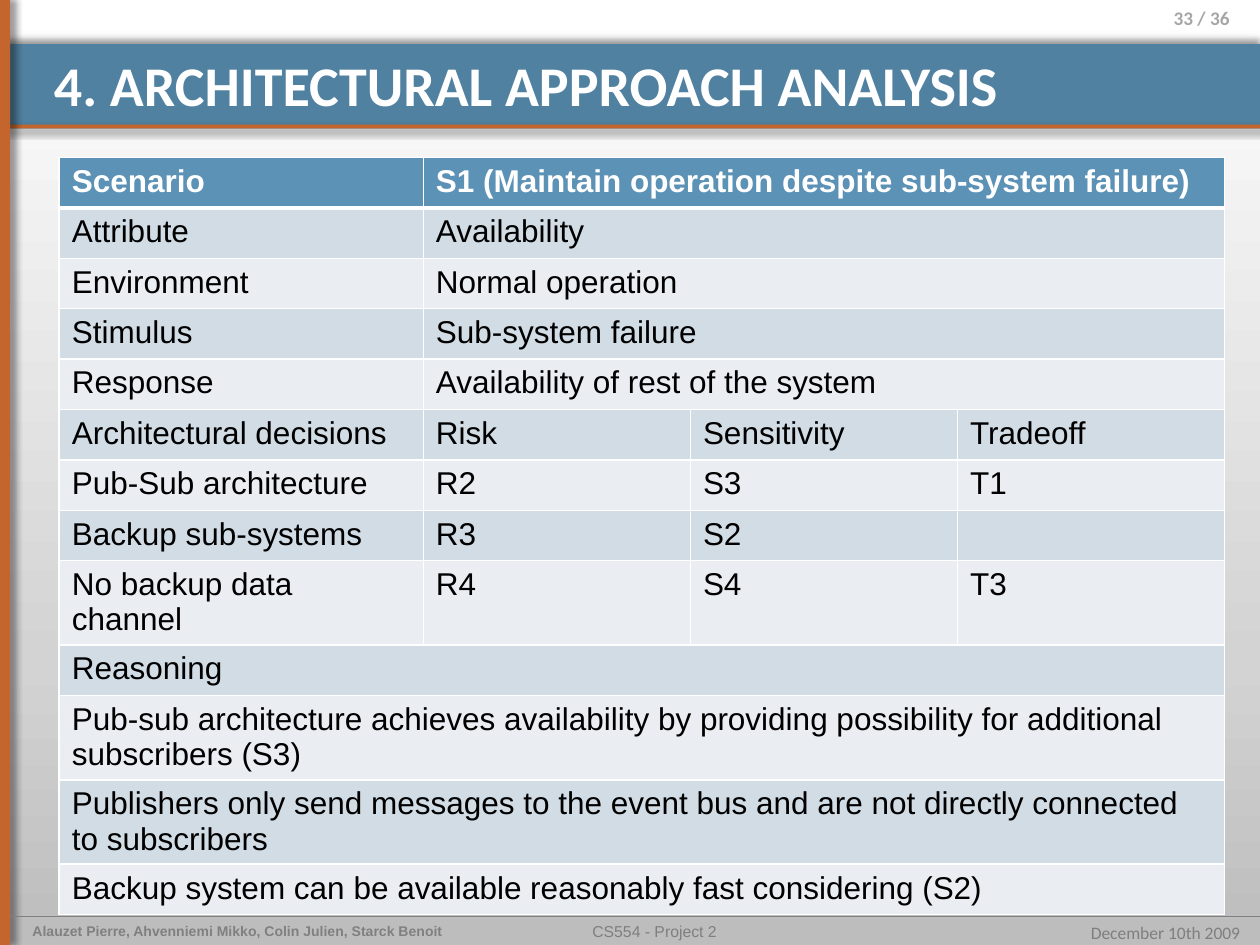
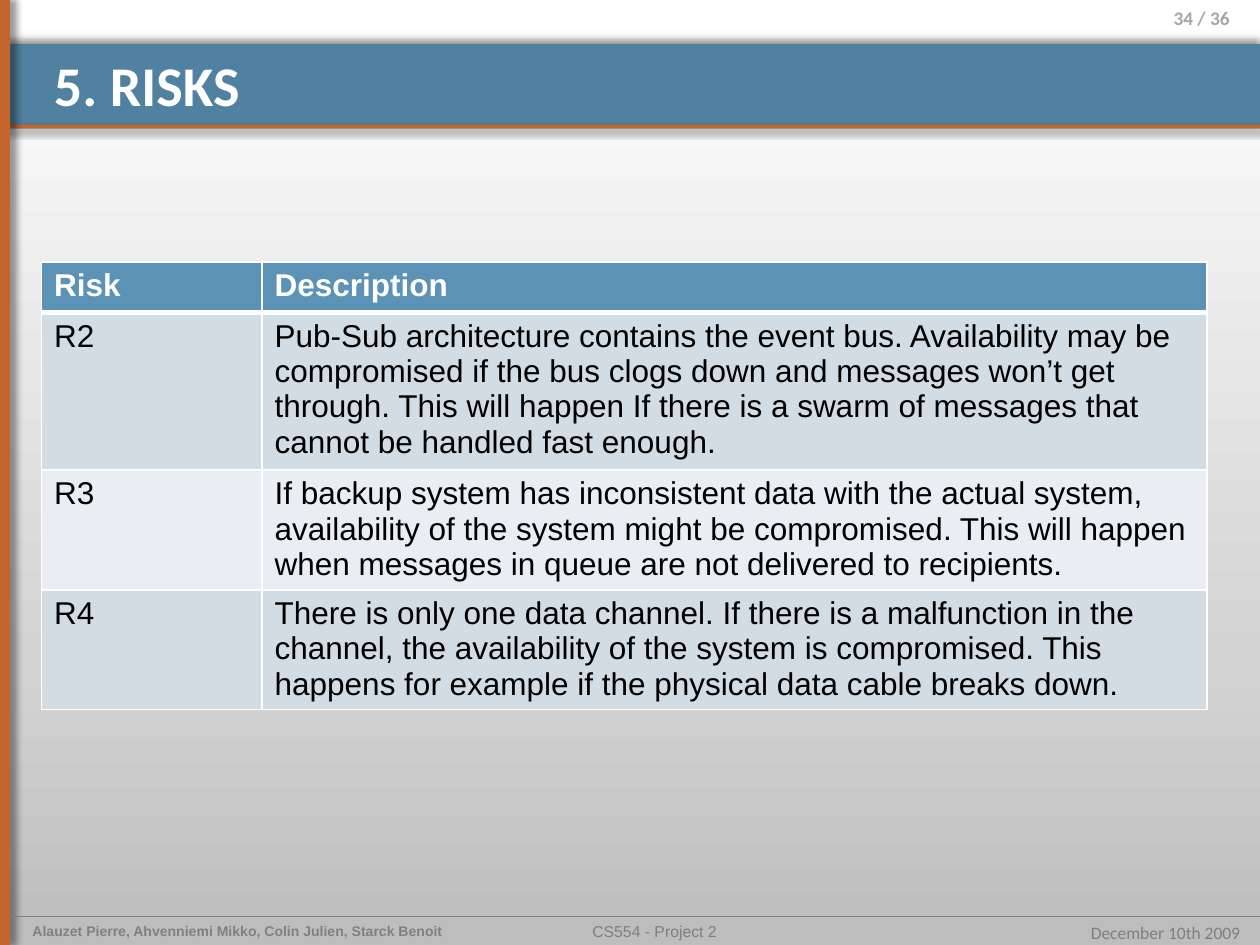
import copy

import lxml.etree
import pptx
import pptx.dml.color
import pptx.enum.shapes
import pptx.enum.text
import pptx.oxml.ns
import pptx.util

Inches = pptx.util.Inches
Pt = pptx.util.Pt
Color = pptx.dml.color.RGBColor
Align = pptx.enum.text.PP_ALIGN
Shape = pptx.enum.shapes.MSO_SHAPE
qn = pptx.oxml.ns.qn

BLUE = Color(0x51, 0x81, 0xA0)
RUST = Color(0xC4, 0x65, 0x2D)
HEAD = Color(0x5C, 0x92, 0xB5)
DARK = Color(0xD2, 0xDC, 0xE5)
LIGHT = Color(0xEA, 0xEE, 0xF3)
WHITE = Color(0xFF, 0xFF, 0xFF)
BLACK = Color(0x00, 0x00, 0x00)
GRAY = Color(0x7F, 0x7F, 0x7F)
MID = Color(0x80, 0x80, 0x80)
PALE = Color(0xA6, 0xA6, 0xA6)
FADE = [(0, Color(0xBD, 0xBD, 0xBD)), (0.3, Color(0xD3, 0xD3, 0xD3)), (1, WHITE)]

PAGE = (0, 0, 10, 7.5)
ROW = 0.4  # height of a row with one line of text
STEP = 0.27  # height of each further line
TOTAL = 36

# Each table row: number of text lines, then its cells
CASE = [
    (1, ["Scenario", "S1 (Maintain operation despite sub-system failure)"]),
    (1, ["Attribute", "Availability"]),
    (1, ["Environment", "Normal operation"]),
    (1, ["Stimulus", "Sub-system failure"]),
    (1, ["Response", "Availability of rest of the system"]),
    (1, ["Architectural decisions", "Risk", "Sensitivity", "Tradeoff"]),
    (1, ["Pub-Sub architecture", "R2", "S3", "T1"]),
    (1, ["Backup sub-systems", "R3", "S2", ""]),
    (2, ["No backup data channel", "R4", "S4", "T3"]),
    (1, ["Reasoning"]),
    (2, ["Pub-sub architecture achieves availability by providing possibility "
         "for additional subscribers (S3)"]),
    (2, ["Publishers only send messages to the event bus and are not directly "
         "connected to subscribers"]),
    (1, ["Backup system can be available reasonably fast considering (S2)"]),
]
RISKS = [
    (1, ["Risk", "Description"]),
    (4, ["R2", "Pub-Sub architecture contains the event bus. Availability may be "
               "compromised if the bus clogs down and messages won’t get through. "
               "This will happen If there is a swarm of messages that cannot be "
               "handled fast enough."]),
    (3, ["R3", "If backup system has inconsistent data with the actual system, "
               "availability of the system might be compromised. This will happen "
               "when messages in queue are not delivered to recipients."]),
    (3, ["R4", "There is only one data channel. If there is a malfunction in the "
               "channel, the availability of the system is compromised. This "
               "happens for example if the physical data cable breaks down."]),
]


def add_run(para, text, size, color, bold=False, font="Arial"):
    run = para.add_run()
    run.text = text
    run.font.name = font
    run.font.size = Pt(size)
    run.font.bold = bold
    run.font.color.rgb = color


def add_text(slide, box, text, size, color, bold=False, font="Arial",
             align=Align.LEFT, wrap=True):
    shape = slide.shapes.add_textbox(*map(Inches, box))
    frame = shape.text_frame
    frame.word_wrap = wrap
    frame.paragraphs[0].alignment = align
    add_run(frame.paragraphs[0], text, size, color, bold, font)
    return frame


def cast_shade(props, angle):
    """Give a shape or line its soft drop shadow."""
    effects = props.find(qn("a:effectLst"))
    if effects is None:
        effects = lxml.etree.SubElement(props, qn("a:effectLst"))
    shade = lxml.etree.SubElement(
        effects, qn("a:outerShdw"), blurRad=str(Pt(4)), dist=str(Pt(3)),
        dir=str(angle * 60000), algn="ctr", rotWithShape="0")
    color = lxml.etree.SubElement(shade, qn("a:srgbClr"), val=str(BLACK))
    lxml.etree.SubElement(color, qn("a:alpha"), val="40000")


def add_bar(slide, box, color, angle):
    bar = slide.shapes.add_shape(Shape.RECTANGLE, *map(Inches, box))
    bar.fill.solid()
    bar.fill.fore_color.rgb = color
    bar.line.fill.background()
    bar.shadow.inherit = False
    cast_shade(bar.element.spPr, angle)


def paint_back(slide):
    fill = slide.background.fill
    fill.gradient()
    fill.gradient_angle = 90
    stops = slide.element.find(".//" + qn("a:gsLst"))
    stops.insert(1, copy.deepcopy(stops[0]))
    for stop, (place, color) in zip(fill.gradient_stops, FADE):
        stop.position = place
        stop.color.rgb = color


def draw_head(slide, box, title, number):
    left, top, width, height = box
    add_bar(slide, (left, top + 0.35, width, 0.67), BLUE, 270)
    add_bar(slide, (left, top + 0.99, width, 0.03), RUST, 45)
    add_bar(slide, (left, top, 0.08, height), RUST, 0)
    # Page count
    count = add_text(slide, (left + width - 1.17, top, 1.17, 0.39),
                     f"{number} / {TOTAL}", 11, PALE, True, "Calibri", Align.RIGHT)
    count.margin_right = Inches(0.24)
    # Title
    add_text(slide, (left + 0.33, top + 0.35, 9.28, 0.58),
             title, 32, WHITE, True, "Calibri")


def draw_foot(slide, box):
    left, top, width, height = box
    line = slide.shapes.add_connector(
        pptx.enum.shapes.MSO_CONNECTOR.STRAIGHT, Inches(left + 0.08), Inches(top),
        Inches(left + width), Inches(top))
    line.line.color.rgb = GRAY
    line.line.width = Pt(0.25)
    cast_shade(line.element.spPr, 45)
    add_text(slide, (left + 0.16, top, 3.67, height),
             "Alauzet Pierre, Ahvenniemi Mikko, Colin Julien, Starck Benoit",
             8, MID, True)
    add_text(slide, (left + 2.11, top, 6.17, height), "CS554 - Project 2",
             9, GRAY, align=Align.CENTER)
    add_text(slide, (left + 8.53, top, 1.41, 0.27), "December 10th 2009",
             10, GRAY, font="Calibri", align=Align.RIGHT, wrap=False)


def edge_cell(cell, row):
    """Draw white borders, thick below the header row."""
    props = cell._tc.get_or_add_tcPr()
    thick = {"T": row == 1, "B": row == 0}
    for spot, side in enumerate("LRTB"):
        line = lxml.etree.Element(qn("a:ln" + side),
                                  w=str(Pt(3 if thick.get(side) else 1)))
        fill = lxml.etree.SubElement(line, qn("a:solidFill"))
        lxml.etree.SubElement(fill, qn("a:srgbClr"), val=str(WHITE))
        props.insert(spot, line)


def draw_grid(slide, spot, widths, rows):
    """Build a table; the last cell of a short row spans the rest."""
    tall = [ROW + STEP * (lines - 1) for lines, texts in rows]
    size = (*spot, sum(widths), sum(tall))
    table = slide.shapes.add_table(
        len(rows), len(widths), *map(Inches, size)).table
    for column, width in zip(table.columns, widths):
        column.width = Inches(width)
    for r, (lines, texts) in enumerate(rows):
        table.rows[r].height = Inches(tall[r])
        last = len(texts) - 1
        if len(texts) < len(widths):
            table.cell(r, last).merge(table.cell(r, len(widths) - 1))
        for c in range(len(widths)):
            cell = table.cell(r, c)
            cell.margin_bottom = 0
            cell.fill.solid()
            cell.fill.fore_color.rgb = HEAD if r == 0 else DARK if r % 2 else LIGHT
            edge_cell(cell, r)
            if c <= last and texts[c]:
                add_run(cell.text_frame.paragraphs[0], texts[c], 18,
                        BLACK if r else WHITE, r == 0)


def add_page(deck, title, number, spot, widths, rows):
    slide = deck.slides.add_slide(deck.slide_layouts[6])
    paint_back(slide)
    draw_head(slide, PAGE, title, number)
    draw_foot(slide, (0, 7.27, 10, 0.23))
    draw_grid(slide, spot, widths, rows)


def main():
    deck = pptx.Presentation()
    deck.slide_width, deck.slide_height = map(Inches, PAGE[2:])
    add_page(deck, "4. ARCHITECTURAL APPROACH ANALYSIS", 33,
             (0.47, 1.25), [2.89] + [2.12] * 3, CASE)
    add_page(deck, "5. RISKS", 34, (0.33, 2.08), [1.75, 7.5], RISKS)
    deck.save("out.pptx")


if __name__ == "__main__":
    main()
